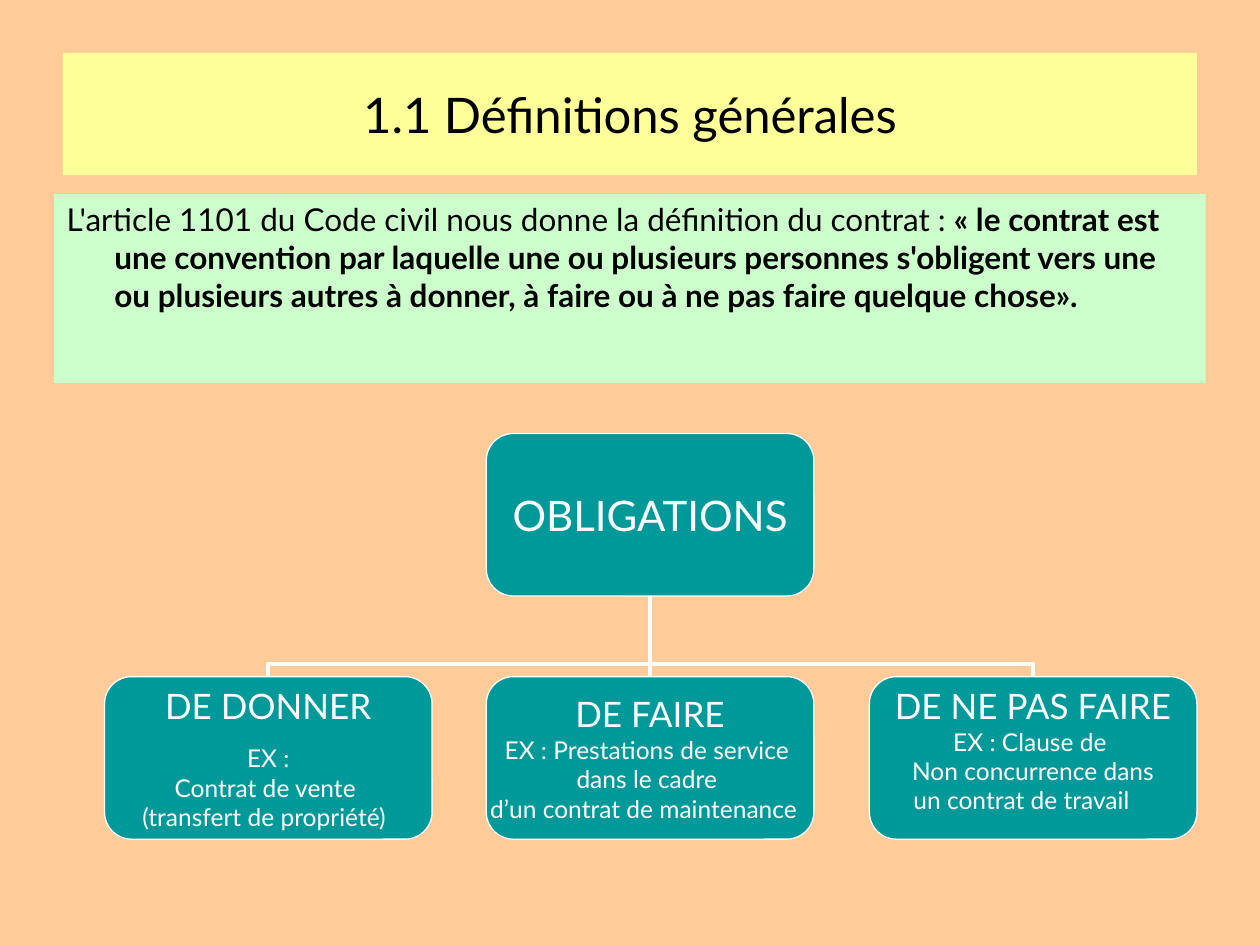
from lxml import etree
from pptx import Presentation
from pptx import util as u
from pptx.dml.color import RGBColor
from pptx.enum import shapes, text
from pptx.oxml import ns

Inches, Pt = u.Inches, u.Pt
FONT = "Lato"
COLORS = {
    "page": "FFCC99",
    "title": "FFFF99",
    "definition": "CCFFCC",
    "node": "009999",
    "light": "FFFFFF",
    "dark": "000000",
}

# Chart grid
NODE_W, NODE_H = 2.6, 1.29
COLUMNS = [0.83, 3.86, 6.9]
ROOT_TOP, BRANCH_TOP = 3.44, 5.37
ELBOW_ADJUST = 15800

# Per branch: heading, example lines, space before them (pt), bottom inset (in)
BRANCHES = [
    ("DE DONNER", ["EX :", "Contrat de vente ", "(transfert de propriété)\t"], 9.6, 0),
    ("DE FAIRE", ["EX : Prestations de service ", "dans le cadre ",
                  "d’un contrat de maintenance  "], 0, 0),
    ("DE NE PAS FAIRE", ["EX : Clause de ", "Non concurrence dans",
                         " un contrat de travail\t"], 0, 0.13),
]


def rgb(name):
    return RGBColor.from_string(COLORS[name])


def style(para, size, color, align):
    para.alignment = align
    para.font.name = FONT
    para.font.size = Pt(size)
    para.font.color.rgb = rgb(color)


def add_box(page, kind, left, top, width, height, fill):
    box = page.shapes.add_shape(kind, Inches(left), Inches(top),
                                Inches(width), Inches(height))
    box.shadow.inherit = False
    box.fill.solid()
    box.fill.fore_color.rgb = rgb(fill)
    box.line.fill.background()
    return box


def add_title(page):
    box = add_box(page, shapes.MSO_SHAPE.RECTANGLE, 0.5, 0.42, 9, 0.97, "title")
    para = box.text_frame.paragraphs[0]
    para.text = "1.1 Définitions générales"
    style(para, 28, "dark", text.PP_ALIGN.CENTER)


def add_definition(page):
    box = add_box(page, shapes.MSO_SHAPE.RECTANGLE, 0.43, 1.54, 9.14, 1.5, "definition")
    box.text_frame.vertical_anchor = text.MSO_ANCHOR.TOP
    para = box.text_frame.paragraphs[0]
    style(para, 18, "dark", text.PP_ALIGN.LEFT)
    para.space_before = Pt(4.5)
    # Hanging indent
    properties = para._p.get_or_add_pPr()
    properties.set("marL", str(Inches(0.38)))
    properties.set("indent", str(-Inches(0.38)))
    para.add_run().text = "L'article 1101 du Code civil nous donne la définition du contrat :"
    quote = para.add_run()
    quote.text = (" « le contrat est une convention par laquelle une ou plusieurs "
                  "personnes s'obligent vers une ou plusieurs autres à donner, "
                  "à faire ou à ne pas faire quelque chose».")
    quote.font.bold = True


def add_node(page, left, top, heading, size, examples=(), gap=0, bottom=0):
    box = add_box(page, shapes.MSO_SHAPE.ROUNDED_RECTANGLE, left, top,
                  NODE_W, NODE_H, "node")
    box.line.color.rgb = rgb("light")
    box.line.width = Pt(0.75)
    frame = box.text_frame
    frame.word_wrap = False
    frame.vertical_anchor = text.MSO_ANCHOR.MIDDLE
    frame.margin_left = frame.margin_right = frame.margin_top = 0
    frame.margin_bottom = Inches(bottom)
    frame.text = "\n".join([heading, *examples])
    for index, para in enumerate(frame.paragraphs):
        style(para, 14 if index else size, "light", text.PP_ALIGN.CENTER)
        if index == 1:
            para.space_before = Pt(gap)


def add_line(page, kind, x1, y1, x2, y2):
    line = page.shapes.add_connector(kind, Inches(x1), Inches(y1),
                                     Inches(x2), Inches(y2))
    line.line.color.rgb = rgb("light")
    line.line.width = Pt(2.25)
    etree.SubElement(line._element.spPr, ns.qn("a:effectLst"))
    return line


def add_elbow(page, branch_x, root_x, branch_y, root_y):
    """Vertical-first elbow from a branch up to the root: a turned connector."""
    center_x, center_y = (branch_x + root_x) / 2, (branch_y + root_y) / 2
    half_w, half_h = (branch_y - root_y) / 2, abs(branch_x - root_x) / 2
    side, turn = (1, 90) if branch_x < root_x else (-1, 270)
    line = add_line(page, shapes.MSO_CONNECTOR.ELBOW,
                    center_x + side * half_w, center_y + half_h,
                    center_x - side * half_w, center_y - half_h)
    properties = line._element.spPr
    properties.find(ns.qn("a:xfrm")).set("rot", str(turn * 60000))
    geometry = properties.find(ns.qn("a:prstGeom"))
    guides = geometry.find(ns.qn("a:avLst"))
    if guides is None:
        guides = etree.SubElement(geometry, ns.qn("a:avLst"))
    etree.SubElement(guides, ns.qn("a:gd"), name="adj1", fmla=f"val {ELBOW_ADJUST}")


def add_chart_of_obligations(page):
    # Connectors go behind the nodes
    left_x, root_x, right_x = [column + NODE_W / 2 for column in COLUMNS]
    root_bottom = ROOT_TOP + NODE_H
    for branch_x in (right_x, left_x):
        add_elbow(page, branch_x, root_x, BRANCH_TOP, root_bottom)
    add_line(page, shapes.MSO_CONNECTOR.STRAIGHT, root_x, BRANCH_TOP, root_x, root_bottom)
    # Root and branches
    add_node(page, COLUMNS[1], ROOT_TOP, "OBLIGATIONS", 24)
    for left, (heading, examples, gap, bottom) in zip(COLUMNS, BRANCHES):
        add_node(page, left, BRANCH_TOP, heading, 20, examples, gap, bottom)


def main():
    deck = Presentation()
    deck.slide_width, deck.slide_height = Inches(10), Inches(7.5)
    page = deck.slides.add_slide(deck.slide_layouts[6])
    page.background.fill.solid()
    page.background.fill.fore_color.rgb = rgb("page")
    add_title(page)
    add_definition(page)
    add_chart_of_obligations(page)
    deck.save("out.pptx")


if __name__ == "__main__":
    main()
